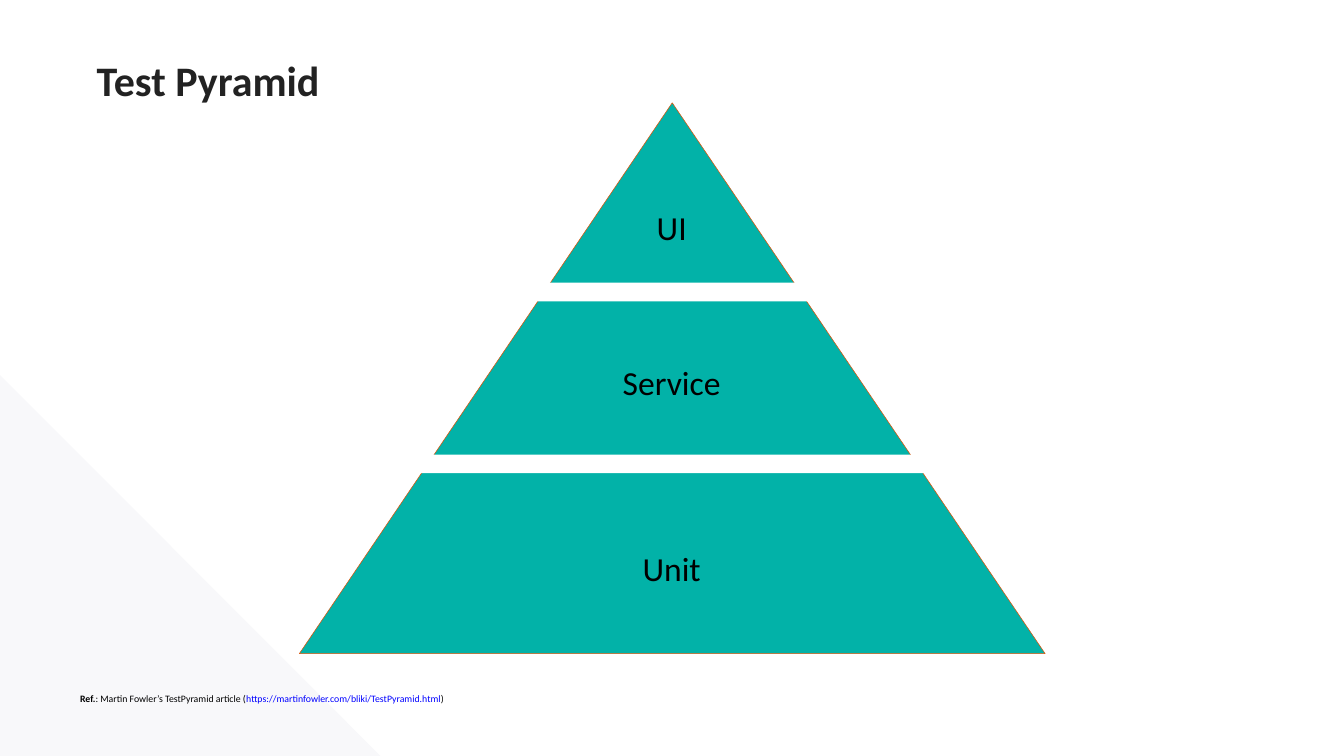
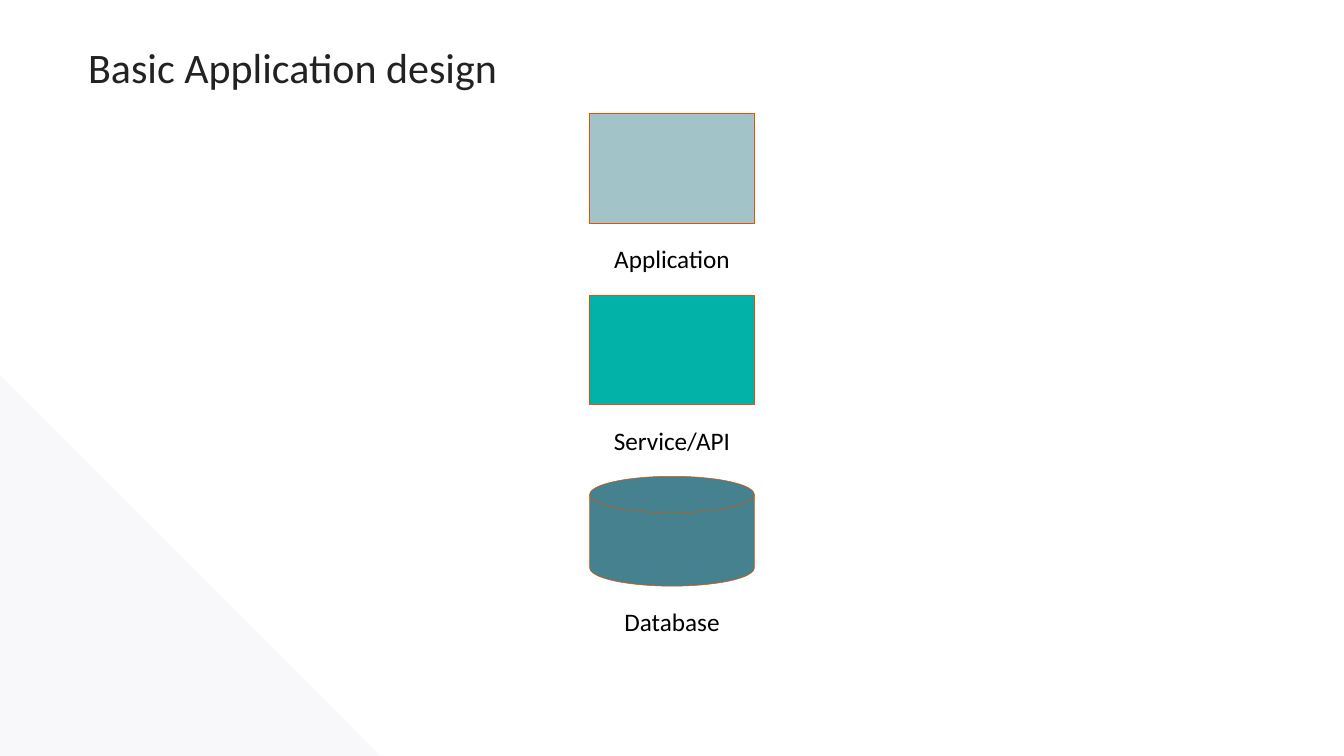
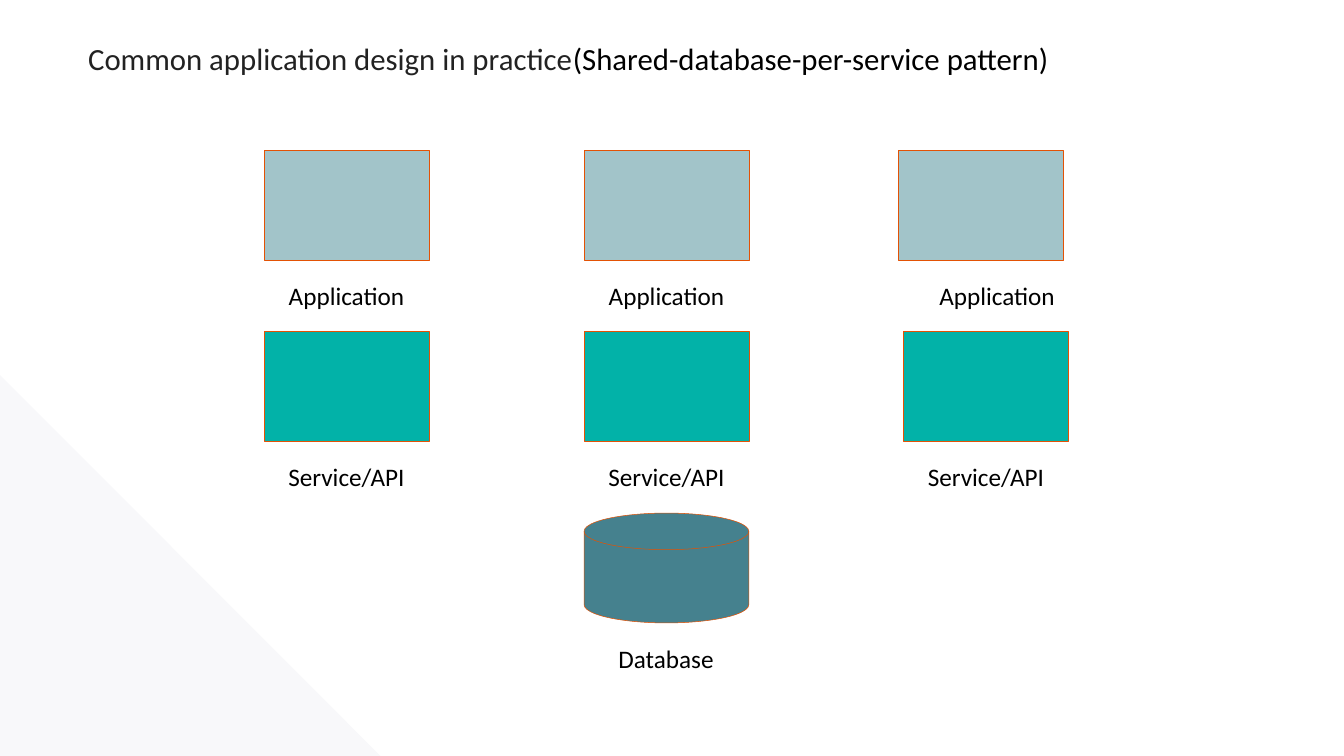
from pptx import Presentation
from pptx.dml.color import RGBColor
from pptx.enum.shapes import MSO_SHAPE
from pptx.enum.text import MSO_AUTO_SIZE, PP_ALIGN
from pptx.util import Inches, Pt

FONT = "Calibri"
BLACK, INK, LINK = "000000", "222222", "0000FF"
TEAL, PALE, DEEP = "02B2A8", "A2C4C9", "45818E"
WHITE, GREY, EDGE = "FFFFFF", "F8F8FA", "E35205"


def paint(shape, fill, line=None):
    shape.shadow.inherit = False
    shape.fill.solid()
    shape.fill.fore_color.rgb = RGBColor.from_string(fill)
    if line:
        shape.line.color.rgb = RGBColor.from_string(line)
        shape.line.width = Pt(0.75)
    else:
        shape.line.fill.background()


def write(shapes, box, size, parts, align=None):
    """Add a text box; parts are (text, colour, bold) runs of one paragraph."""
    frame = shapes.add_textbox(*map(Inches, box)).text_frame
    frame.word_wrap = True
    frame.margin_left = frame.margin_right = Inches(0.1)
    frame.margin_top = frame.margin_bottom = Inches(0.1)
    para = frame.paragraphs[0]
    para.alignment = align
    for text, color, bold in parts:
        run = para.add_run()
        run.text = text
        run.font.name = FONT
        run.font.size = Pt(size)
        run.font.bold = bold
        run.font.color.rgb = RGBColor.from_string(color)
    return frame


deck = Presentation()
deck.slide_width, deck.slide_height = Inches(26.67), Inches(15)

# Every slide: grey corner and title
titles = [
    ((1.82, 0.83, 6.39, 1.21), 60, [("Test Pyramid", INK, True)]),
    ((1.65, 0.58, 11.27, 1.21), 60, [("Basic Application design", INK, False)]),
    ((1.65, 0.58, 23.76, 0.94), 44,
     [("Common application design in practice", INK, False),
      ("(Shared-database-per-service pattern)", BLACK, False)]),
]
slides = []
for box, size, parts in titles:
    shapes = deck.slides.add_slide(deck.slide_layouts[6]).shapes
    path = shapes.build_freeform(Inches(-0.02), Inches(7.42))
    path.add_line_segments([(Inches(-0.02), Inches(15)), (Inches(7.55), Inches(15))])
    paint(path.convert_to_shape(), GREY)
    frame = write(shapes, box, size, parts)
    frame.auto_size = MSO_AUTO_SIZE.SHAPE_TO_FIT_TEXT
    frame.paragraphs[0].line_spacing = 1.15
    frame.paragraphs[0].space_after = Pt(11)
    slides.append(shapes)
first, basic, common = slides

# Test pyramid: one triangle cut by two white bars
group = first.add_group_shape().shapes
cone = group.add_shape(MSO_SHAPE.FLOWCHART_EXTRACT, Inches(5.94), Inches(2.04),
                       Inches(14.8), Inches(10.93))
paint(cone, TEAL, EDGE)
for top in (9.02, 5.61):
    bar = group.add_shape(MSO_SHAPE.RECTANGLE, Inches(7.01), Inches(top),
                          Inches(12.31), Inches(0.37))
    paint(bar, WHITE)
for label, top in (("UI", 4), ("Service", 7.09), ("Unit", 10.78)):
    write(group, (11.51, top, 3.64, 0.81), 48, [(label, BLACK, False)], PP_ALIGN.CENTER)

ref = write(first, (1.49, 13.64, 11.72, 0.44), 14, [
    ("Ref.", BLACK, True),
    (": Martin Fowler’s TestPyramid article (", BLACK, False),
    ("https://martinfowler.com/bliki/TestPyramid.html", LINK, False),
    (")", BLACK, False),
])
ref.auto_size = MSO_AUTO_SIZE.SHAPE_TO_FIT_TEXT

# Application designs: tiers of captioned boxes
WIDE, HIGH, STEP, DROP = 3.27, 2.18, 3.6, 2.48
tiers = [
    ("Application", MSO_SHAPE.FLOWCHART_PROCESS, PALE),
    ("Service/API", MSO_SHAPE.FLOWCHART_PROCESS, TEAL),
    ("Database", MSO_SHAPE.FLOWCHART_MAGNETIC_DISK, DEEP),
]
# Each item in a tier: box left, caption left, caption width
designs = [
    (basic, 2.25, [
        [(11.7, 11.7, WIDE)],
        [(11.7, 11.7, WIDE)],
        [(11.7, 11.96, 2.75)],
    ]),
    (common, 2.98, [
        [(5.24, 4.92, 3.91), (11.59, 11.59, WIDE), (17.83, 17.83, 3.91)],
        [(left, left, WIDE) for left in (5.24, 11.59, 17.93)],
        [(11.59, 11.84, 2.75)],
    ]),
]
for shapes, start, rows in designs:
    for row, ((label, kind, fill), items) in enumerate(zip(tiers, rows)):
        top = start + row * STEP
        for left, edge, width in items:
            node = shapes.add_shape(kind, Inches(left), Inches(top),
                                    Inches(WIDE), Inches(HIGH))
            paint(node, fill, EDGE)
            write(shapes, (edge, top + DROP, width, 0.82), 36,
                  [(label, BLACK, False)], PP_ALIGN.CENTER)

deck.save("out.pptx")
